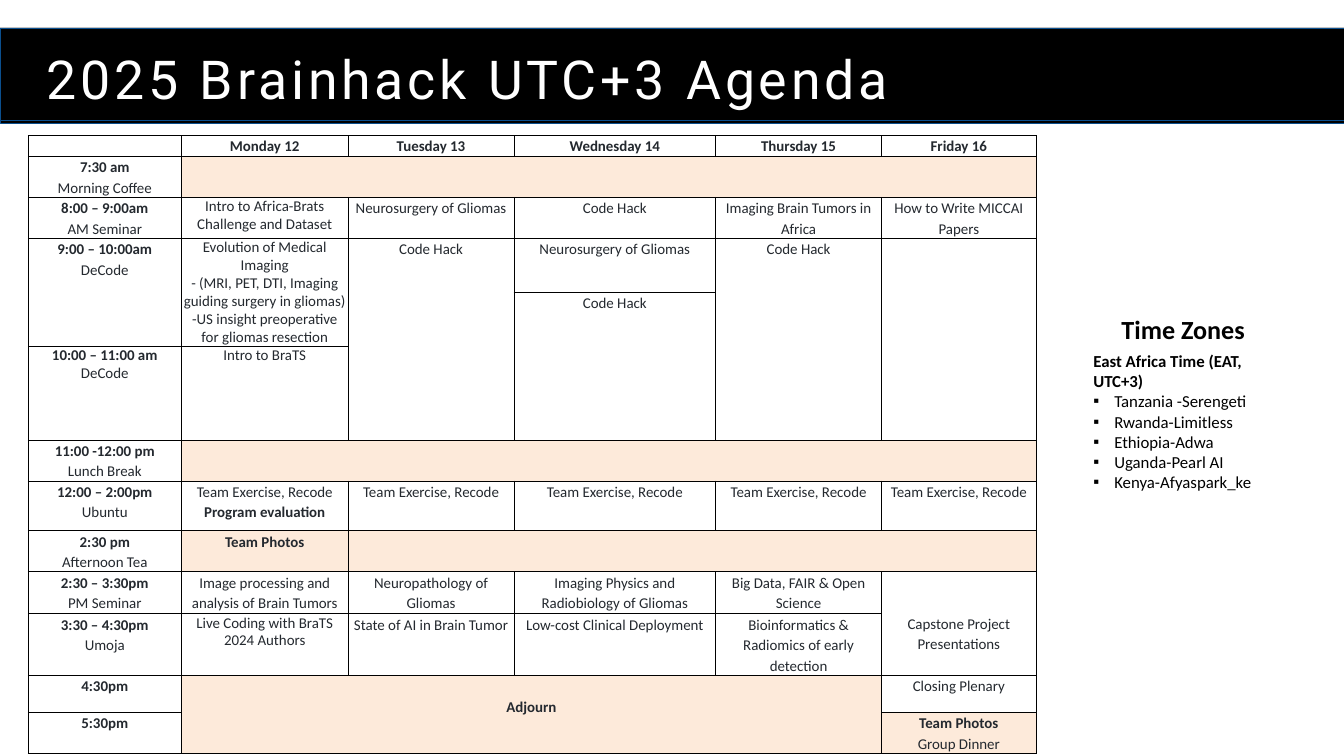
from dataclasses import dataclass
from typing import NamedTuple

import pptx
import pptx.dml.color
import pptx.enum.shapes
import pptx.enum.text
import pptx.oxml
import pptx.oxml.ns
import pptx.util

Pt = pptx.util.Pt
RGBColor = pptx.dml.color.RGBColor
Align = pptx.enum.text.PP_ALIGN

BLACK = RGBColor(0x00, 0x00, 0x00)
WHITE = RGBColor(0xFF, 0xFF, 0xFF)
INK = RGBColor(0x24, 0x29, 0x2F)
PEACH = RGBColor(0xFD, 0xEA, 0xDA)
BAND_EDGE = RGBColor(0x0B, 0x4F, 0x8E)

BODY_FONT = "Calibri"
CELL_SIZE = 16
LOOSE = 1.12  # two loose lines fit a 44 pt row
TIGHT = 0.98  # six tight lines fit two 57.6 pt rows
LINE_HEIGHT = 22  # one loose line of table text

COLUMN_WIDTHS = (164.2, 178.6, 177.8, 216, 177.8, 165.6)
ROW_HEIGHTS = (22.3, 44, 44, 57.6, 57.6, 100.8, 44, 53.3, 44, 45, 66, 39.6, 44)


class Line(NamedTuple):
    text: str
    bold: bool = False


@dataclass(frozen=True)
class Entry:
    row: int
    column: int
    lines: tuple[Line, ...] = ()
    rows: int = 1
    columns: int = 1
    fill: RGBColor | None = None
    spacing: float = LOOSE
    lines_above: int = 0


@dataclass(frozen=True)
class Slot:
    row: int
    time: str
    activity: str = ""
    rows: int = 1
    spacing: float = LOOSE

    def entry(self) -> Entry:
        lines = [Line(self.time, True)]
        if self.activity:
            lines.append(Line(self.activity))
        return Entry(self.row, 0, tuple(lines), self.rows, spacing=self.spacing)


DAYS = ("Monday 12", "Tuesday 13", "Wednesday 14", "Thursday 15", "Friday 16")
SLOTS = (
    Slot(1, "7:30 am", "Morning Coffee"),
    Slot(2, "8:00 – 9:00am", "AM Seminar"),
    Slot(3, "9:00 – 10:00am", "DeCode", rows=2),
    Slot(5, "10:00 – 11:00 am", "DeCode", spacing=TIGHT),
    Slot(6, "11:00 -12:00 pm", "Lunch Break"),
    Slot(7, "12:00 – 2:00pm", "Ubuntu"),
    Slot(8, "2:30 pm", "Afternoon Tea"),
    Slot(9, "2:30 – 3:30pm", "PM Seminar"),
    Slot(10, "3:30 – 4:30pm", "Umoja"),
    Slot(11, "4:30pm"),
    Slot(12, "5:30pm"),
)
EXERCISE = Line("Team Exercise, Recode")
CODE_HACK = (Line("Code Hack"),)
GLIOMAS = (Line("Neurosurgery of Gliomas"),)
SESSIONS = (
    Entry(1, 1, columns=5, fill=PEACH),
    Entry(2, 1, (Line("Intro to Africa-Brats Challenge and Dataset"),), spacing=TIGHT),
    Entry(2, 2, GLIOMAS),
    Entry(2, 3, CODE_HACK),
    Entry(2, 4, (Line("Imaging Brain Tumors in Africa"),)),
    Entry(2, 5, (Line("How to Write MICCAI Papers"),)),
    Entry(3, 1, (
        Line("Evolution of Medical Imaging"),
        Line("- (MRI, PET, DTI, Imaging guiding surgery in gliomas)"),
        Line("-US insight preoperative for gliomas resection"),
    ), rows=2, spacing=TIGHT),
    Entry(3, 2, CODE_HACK, rows=3),
    Entry(3, 3, GLIOMAS),
    Entry(3, 4, CODE_HACK, rows=3),
    Entry(3, 5, rows=3),
    Entry(4, 3, CODE_HACK, rows=2),
    Entry(5, 1, (Line("Intro to BraTS"),), spacing=TIGHT),
    Entry(6, 1, columns=5, fill=PEACH),
    Entry(7, 1, (EXERCISE, Line("Program evaluation", True))),
    *(Entry(7, column, (EXERCISE,)) for column in range(2, 6)),
    Entry(8, 1, (Line("Team Photos", True),), fill=PEACH),
    Entry(8, 2, columns=4, fill=PEACH),
    Entry(9, 1, (Line("Image processing and analysis of Brain Tumors"),)),
    Entry(9, 2, (Line("Neuropathology of Gliomas"),)),
    Entry(9, 3, (Line("Imaging Physics and Radiobiology of Gliomas"),)),
    Entry(9, 4, (Line("Big Data, FAIR & Open Science"),)),
    Entry(9, 5, (Line("Capstone Project Presentations"),), rows=2, lines_above=2),
    Entry(10, 1, (Line("Live Coding with BraTS 2024 Authors"),), spacing=TIGHT),
    Entry(10, 2, (Line("State of AI in Brain Tumor"),)),
    Entry(10, 3, (Line("Low-cost Clinical Deployment"),)),
    Entry(10, 4, (Line("Bioinformatics & Radiomics of early detection"),)),
    Entry(11, 1, (Line("Adjourn", True),), rows=2, columns=4, fill=PEACH, lines_above=1),
    Entry(11, 5, (Line("Closing Plenary"),)),
    Entry(12, 5, (Line("Team Photos", True), Line("Group Dinner")), fill=PEACH),
)
TEAMS = ("Tanzania -Serengeti", "Rwanda-Limitless", "Ethiopia-Adwa",
         "Uganda-Pearl AI", "Kenya-Afyaspark_ke")


def add_span(para, text: str, size: float, color: RGBColor,
             bold: bool = False, font: str = BODY_FONT):
    span = para.add_run()
    span.text = text
    span.font.name, span.font.size, span.font.bold = font, Pt(size), bold
    span.font.color.rgb = color
    return span


def place(box, left: float, top: float, width: float, height: float, inset: float) -> None:
    box.left, box.top, box.width, box.height = map(Pt, (left, top, width, height))
    frame = box.text_frame
    frame.word_wrap = True
    frame.auto_size = pptx.enum.text.MSO_AUTO_SIZE.NONE
    frame.vertical_anchor = pptx.enum.text.MSO_ANCHOR.TOP
    frame.margin_left = frame.margin_right = Pt(inset)
    frame.margin_top = frame.margin_bottom = Pt(inset)


def add_element(parent, xml: str) -> None:
    tag, rest = xml.split(" ", 1)
    parent.append(pptx.oxml.parse_xml(f"<{tag} {pptx.oxml.ns.nsdecls('a')} {rest}"))


def add_band(page, height: float) -> None:
    """Put a black strip behind the placeholders."""
    band = page.shapes.add_shape(pptx.enum.shapes.MSO_SHAPE.RECTANGLE,
                                 0, Pt(30), Pt(1440), Pt(height))
    band.shadow.inherit = False
    band.fill.solid()
    band.fill.fore_color.rgb = BLACK
    band.line.color.rgb = BAND_EDGE
    band.line.width = Pt(0.75)
    page.shapes._spTree.insert(2, band._element)


def frame_cell(cell) -> None:
    cell.margin_left = cell.margin_right = Pt(1.5)
    cell.margin_top = cell.margin_bottom = 0
    for side in "LRTB":
        add_element(cell._tc.get_or_add_tcPr(),
                    f'a:ln{side} w="{Pt(1)}"><a:solidFill><a:srgbClr val="{BLACK}"/>'
                    f"</a:solidFill></a:ln{side}>")
    cell.fill.background()


def fill_entry(table, entry: Entry) -> None:
    cell = table.cell(entry.row, entry.column)
    if entry.rows > 1 or entry.columns > 1:
        cell.merge(table.cell(entry.row + entry.rows - 1, entry.column + entry.columns - 1))
    cell.margin_top = Pt(entry.lines_above * LINE_HEIGHT)
    if entry.fill is not None:
        cell.fill.solid()
        cell.fill.fore_color.rgb = entry.fill
    for index, line in enumerate(entry.lines):
        frame = cell.text_frame
        para = frame.add_paragraph() if index else frame.paragraphs[0]
        para.alignment = Align.CENTER
        para.line_spacing = entry.spacing
        add_span(para, line.text, CELL_SIZE, INK, line.bold)


def add_agenda(page) -> None:
    table = page.shapes.add_table(len(ROW_HEIGHTS), len(COLUMN_WIDTHS), Pt(30.2), Pt(145.2),
                                  Pt(sum(COLUMN_WIDTHS)), Pt(sum(ROW_HEIGHTS))).table
    table.first_row = table.horz_banding = False
    for column, width in zip(table.columns, COLUMN_WIDTHS):
        column.width = Pt(width)
    for row, height in zip(table.rows, ROW_HEIGHTS):
        row.height = Pt(height)
    for cell in table.iter_cells():
        frame_cell(cell)
    headings = [Entry(0, column, (Line(day, True),)) for column, day in enumerate(DAYS, 1)]
    for entry in (*headings, *(slot.entry() for slot in SLOTS), *SESSIONS):
        fill_entry(table, entry)


def write_teams(box) -> None:
    place(box, 1164.2, 368.6, 203, 167, 7.2)
    for index, text in enumerate(("East Africa Time (EAT, UTC+3)", *TEAMS)):
        para = box.text_frame.paragraphs[0] if index == 0 else box.text_frame.add_paragraph()
        properties = para._p.get_or_add_pPr()
        indent = 22.5 if index else 0
        properties.set("marL", str(Pt(indent)))
        properties.set("indent", str(-Pt(indent)))
        if index:
            add_element(properties, f'a:buClr ><a:srgbClr val="{BLACK}"/></a:buClr>')
            add_element(properties, 'a:buChar char="▪"/>')
        else:
            add_element(properties, "a:buNone />")
        para.alignment = Align.LEFT
        para.space_before = Pt(0)
        add_span(para, text, 18, BLACK, bold=index == 0)


def main() -> None:
    deck = pptx.Presentation()
    deck.slide_width, deck.slide_height = Pt(1440), Pt(810)
    page = deck.slides.add_slide(deck.slide_layouts[1])
    for height in (99.4, 102):
        add_band(page, height)

    title = page.shapes.title
    place(title, 50, 43.2, 1139, 68.4, 0)
    para = title.text_frame.paragraphs[0]
    para.alignment = Align.LEFT
    para.line_spacing = Pt(74.8)
    span = add_span(para, "2025 Brainhack UTC+3 Agenda", 57.5, WHITE, font="Roboto")
    span.font._element.set("spc", "420")

    add_agenda(page)
    write_teams(page.placeholders[1])
    heading = page.shapes.add_textbox(0, 0, 0, 0)
    place(heading, 1194.5, 329, 161.3, 48.2, 7.2)
    add_span(heading.text_frame.paragraphs[0], "Time Zones", 28, BLACK, bold=True)
    deck.save("out.pptx")


if __name__ == "__main__":
    main()
